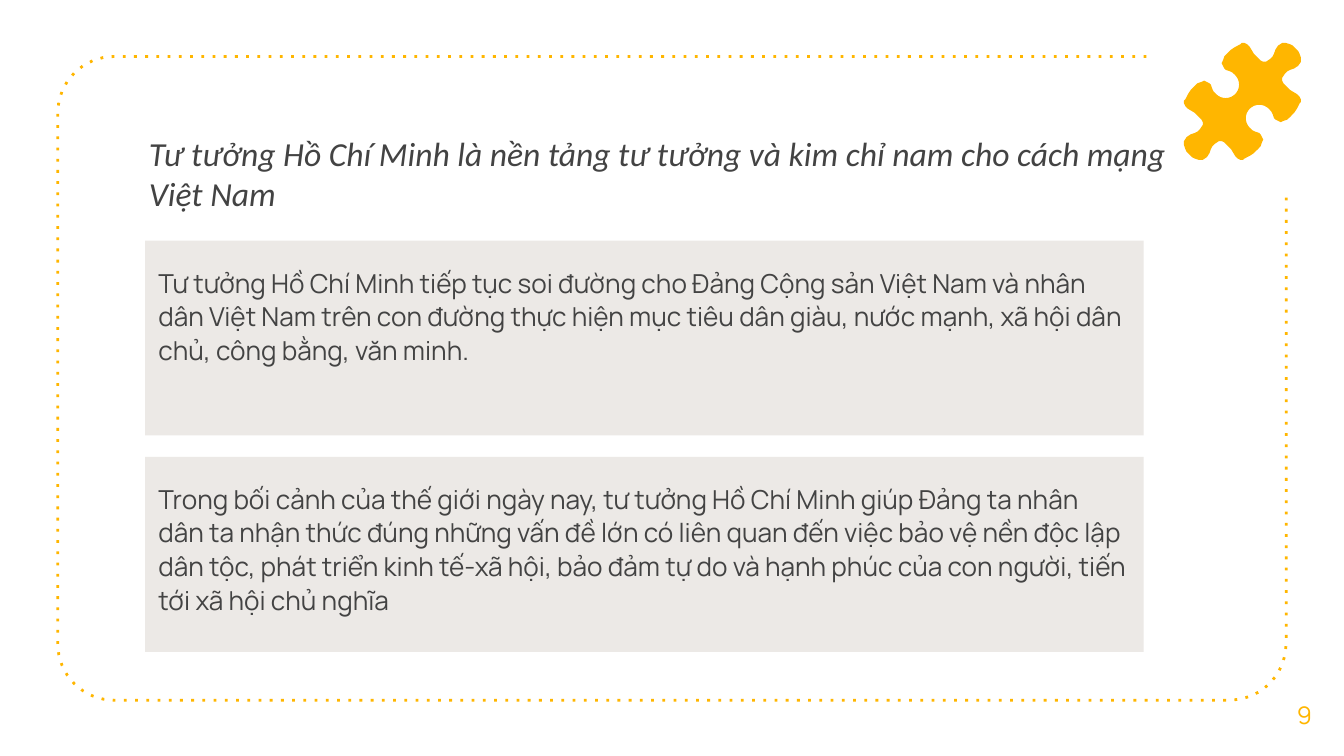
from math import cos, pi, sin

from pptx import Presentation
from pptx.dml.color import RGBColor
from pptx.enum.dml import MSO_LINE
from pptx.enum.shapes import MSO_SHAPE
from pptx.enum.text import MSO_ANCHOR, PP_ALIGN
from pptx.oxml.ns import qn
from pptx.util import Inches, Pt

RECT = MSO_SHAPE.RECTANGLE
DOT = MSO_LINE.ROUND_DOT
TOP, MIDDLE = MSO_ANCHOR.TOP, MSO_ANCHOR.MIDDLE
LEFT, CENTER = PP_ALIGN.LEFT, PP_ALIGN.CENTER

COLORS = {"gold": "FFB600", "text": "434343", "panel": "ECE9E6"}

TITLE = ("Tư tưởng Hồ Chí Minh là nền tảng tư tưởng và kim chỉ nam "
         "cho cách mạng Việt Nam")
POINTS = [
    "Tư tưởng Hồ Chí Minh tiếp tục soi đường cho Đảng Cộng sản Việt Nam và "
    "nhân dân Việt Nam trên con đường thực hiện mục tiêu dân giàu, nước mạnh, "
    "xã hội dân chủ, công bằng, văn minh.",
    "Trong bối cảnh của thế giới ngày nay, tư tưởng Hồ Chí Minh giúp Đảng ta "
    "nhân dân ta nhận thức đúng những vấn đề lớn có liên quan đến việc bảo vệ "
    "nền độc lập dân tộc, phát triển kinh tế-xã hội, bảo đảm tự do và hạnh "
    "phúc của con người, tiến tới xã hội chủ nghĩa",
]

# Part of the puzzle piece, from the rim of a notch to the tip of a knob
KNOB = [
    (9.17, 0.54), (9.15, 0.53), (9.12, 0.52), (9.11, 0.51), (9.1, 0.49),
    (9.09, 0.47), (9.1, 0.45), (9.11, 0.42), (9.13, 0.4), (9.16, 0.37),
    (9.19, 0.35), (9.23, 0.33), (9.24, 0.32), (9.26, 0.32), (9.28, 0.33),
    (9.3, 0.35), (9.33, 0.4), (9.36, 0.43), (9.38, 0.45), (9.4, 0.46),
    (9.42, 0.46), (9.45, 0.44), (9.47, 0.42), (9.48, 0.4), (9.49, 0.37),
    (9.51, 0.34), (9.54, 0.32), (9.57, 0.32), (9.6, 0.33), (9.62, 0.34),
    (9.64, 0.36),
]


def arc(x, y, r, start, steps=8):
    """Points of a quarter turn, running against the clock."""
    turns = [start + pi / 2 * i / steps for i in range(steps + 1)]
    return [(x + r * cos(t), y - r * sin(t)) for t in turns]


def puzzle():
    """Mirror a quarter over the diagonal, then turn the half around."""
    part = arc(9.12, 0.63, 0.1, -pi / 4) + KNOB
    half = part + [(10 - y, 10 - x) for x, y in reversed(part)]
    return half + [(18.49 - x, 1.51 - y) for x, y in half]


class Deck:
    def __init__(self, wide):
        self.file = Presentation()
        self.file.slide_width = Inches(wide)
        self.file.slide_height = Inches(wide * 9 / 16)
        self.slide = self.file.slides.add_slide(self.file.slide_layouts[6])

    def color(self, name):
        return RGBColor.from_string(COLORS[name])

    def paint(self, shape, fill):
        shape.shadow.inherit = False
        shape.fill.solid()
        shape.fill.fore_color.rgb = self.color(fill)
        shape.line.fill.background()

    def panel(self, x, y, w, h, fill):
        box = map(Inches, (x, y, w, h))
        self.paint(self.slide.shapes.add_shape(RECT, *box), fill)

    def outline(self, points, close):
        spots = [(Inches(x), Inches(y)) for x, y in points]
        pen = self.slide.shapes.build_freeform(*spots[0], scale=1.0)
        pen.add_line_segments(spots[1:], close=close)
        return pen.convert_to_shape()

    def solid(self, points, fill):
        self.paint(self.outline(points, True), fill)

    def dotted(self, points, color, width):
        shape = self.outline(points, False)
        shape.shadow.inherit = False
        shape.fill.background()
        shape.line.color.rgb = self.color(color)
        shape.line.width = Pt(width)
        shape.line.dash_style = DOT
        # The plain "dot" dash has no enum member
        dash = next(shape.element.iter(qn("a:prstDash")))
        dash.set("val", "dot")

    def text(self, words, x, y, w, h, size, face="Manrope", color="text",
             italic=False, align=LEFT, anchor=TOP, space=1.0, after=0):
        box = self.slide.shapes.add_textbox(*map(Inches, (x, y, w, h)))
        frame = box.text_frame
        frame.word_wrap = True
        frame.vertical_anchor = anchor
        frame.margin_left = frame.margin_right = Inches(0.1)
        frame.margin_top = frame.margin_bottom = Inches(0.1)
        para = frame.paragraphs[0]
        para.text = words
        para.alignment = align
        para.line_spacing = space
        para.space_after = Pt(after)
        font = para.font
        font.name, font.size, font.italic = face, Pt(size), italic
        font.color.rgb = self.color(color)


def main():
    deck = Deck(10)

    # Dotted frame, open at the top right corner
    r = 0.42
    frame = [(8.53, 0.42)]
    frame += arc(0.85, 0.84, r, pi / 2)
    frame += arc(0.85, 4.79, r, pi)
    frame += arc(9.15, 4.79, r, 3 * pi / 2)
    frame += [(9.57, 1.46)]
    deck.dotted(frame, "gold", 1.5)

    # Title and page number
    deck.text(TITLE, 1.01, 0.89, 7.97, 0.94, 18, face="Calibri", italic=True)
    deck.text("9", 9.41, 5.02, 0.59, 0.6, 13, color="gold",
              align=CENTER, anchor=MIDDLE)

    # Panels with their points
    for i, point in enumerate(POINTS):
        top = 1.79 + 1.61 * i
        deck.panel(1.08, top, 7.43, 1.45, "panel")
        deck.text(point, 1.08, top + 0.08, 7.43, 1.45, 14, space=1.07, after=3)

    # Puzzle piece
    deck.solid(puzzle(), "gold")

    deck.file.save("out.pptx")


if __name__ == "__main__":
    main()
